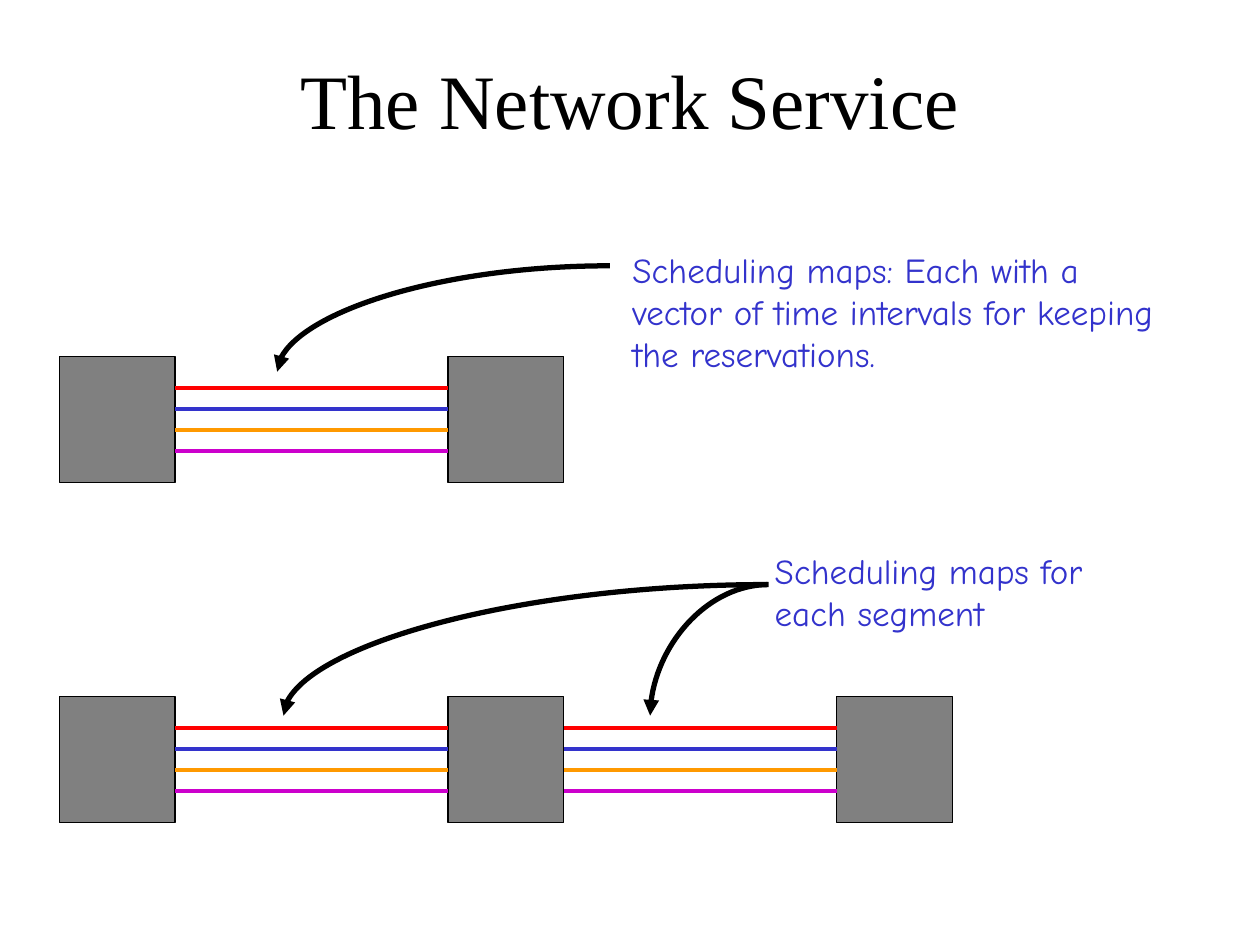
from typing import NamedTuple

from lxml.etree import SubElement
from pptx import Presentation
from pptx.dml.color import RGBColor
from pptx.enum.shapes import MSO_CONNECTOR as Link, MSO_SHAPE as Shape
from pptx.enum.text import MSO_ANCHOR as Anchor, MSO_AUTO_SIZE as Fit, PP_ALIGN as Align
from pptx.oxml.ns import qn
from pptx.util import Inches, Pt

WIDE, HIGH = 10, 7.5
LEFT, PITCH = 0.47, 3.085  # first node and step between nodes
NODE_W, NODE_H = 0.92, 1
WIRES = ["FF0000", "3333CC", "FF9900", "CC00CC"]
WIRE_TOP, WIRE_GAP = NODE_H / 4, NODE_H / 6


class Chain(NamedTuple):
    top: float
    nodes: int


class Note(NamedTuple):
    text: str
    left: float
    top: float
    width: float
    height: float


class Arrow(NamedTuple):
    x1: float
    y1: float
    x2: float
    y2: float


CHAINS = [Chain(2.83, 2), Chain(5.53, 3)]
NOTES = [
    Note("Scheduling maps: Each with a vector of time intervals for keeping "
         "the reservations.", 4.92, 1.92, 4.44, 1.1),
    Note("Scheduling maps for each segment", 6.05, 4.31, 3.22, 0.77),
]
ARROWS = [
    Arrow(6.09, 4.64, 2.25, 5.68),
    Arrow(6.1, 4.64, 5.16, 5.68),
    Arrow(4.84, 2.11, 2.2, 2.95),
]


def color(code: str) -> RGBColor:
    return RGBColor.from_string(code)


def write(frame, text: str, *, size: float, font: str, ink: str,
          align=Align.LEFT, top: float = 0.05) -> None:
    frame.word_wrap = True
    frame.auto_size = Fit.NONE
    frame.vertical_anchor = Anchor.TOP
    frame.margin_left = frame.margin_right = Inches(0.1)
    frame.margin_top, frame.margin_bottom = Inches(top), Inches(0.05)
    para = frame.paragraphs[0]
    para.alignment = align
    run = para.add_run()
    run.text = text
    run.font.size, run.font.name = Pt(size), font
    run.font.color.rgb = color(ink)


def place(shape, *box: float) -> None:
    shape.left, shape.top, shape.width, shape.height = map(Inches, box)


def draw_line(slide, kind, ends: Arrow, ink: str, width: float):
    line = slide.shapes.add_connector(kind, *map(Inches, ends))
    line.line.color.rgb = color(ink)
    line.line.width = Pt(width)
    SubElement(line._element.spPr, qn("a:effectLst"))
    return line


def draw_arrow(slide, arrow: Arrow) -> None:
    # A quarter bend leaves level and lands upright
    box = Arrow(arrow.x2, arrow.y1, arrow.x1, arrow.y2)
    props = draw_line(slide, Link.CURVE, box, "000000", 3)._element.spPr
    props.find(qn("a:prstGeom")).set("prst", "curvedConnector2")
    frame = props.find(qn("a:xfrm"))
    frame.set("rot", "10800000")
    frame.set("flipV", "1")
    SubElement(props.find(qn("a:ln")), qn("a:tailEnd"), type="triangle")


def draw_chain(slide, chain: Chain) -> None:
    for col in range(chain.nodes):
        left = LEFT + col * PITCH
        node = slide.shapes.add_shape(
            Shape.RECTANGLE, *map(Inches, (left, chain.top, NODE_W, NODE_H)))
        node.shadow.inherit = False
        node.fill.solid()
        node.fill.fore_color.rgb = color("808080")
        node.line.color.rgb = color("000000")
        node.line.width = Pt(0.75)
    for col in range(chain.nodes - 1):
        left = LEFT + col * PITCH
        for row, ink in enumerate(WIRES):
            y = chain.top + WIRE_TOP + row * WIRE_GAP
            ends = Arrow(left + NODE_W, y, left + PITCH, y)
            draw_line(slide, Link.STRAIGHT, ends, ink, 2.25)


def main() -> None:
    deck = Presentation()
    deck.slide_width, deck.slide_height = Inches(WIDE), Inches(HIGH)
    slide = deck.slides.add_slide(deck.slide_layouts.get_by_name("Title Only"))

    # Title
    title = slide.shapes.title
    place(title, WIDE * 0.05, HIGH * 0.04, WIDE * 0.9, HIGH / 6)
    write(title.text_frame, "The Network Service", size=44,
          font="Times New Roman", ink="000000", align=Align.CENTER, top=0.12)

    # Nodes and their wires
    for chain in CHAINS:
        draw_chain(slide, chain)

    # Notes with arrows
    for note in NOTES:
        box = slide.shapes.add_textbox(*map(Inches, note[1:]))
        write(box.text_frame, note.text, size=20, font="Comic Neue", ink="3333CC")
    for arrow in ARROWS:
        draw_arrow(slide, arrow)

    deck.save("out.pptx")


if __name__ == "__main__":
    main()
